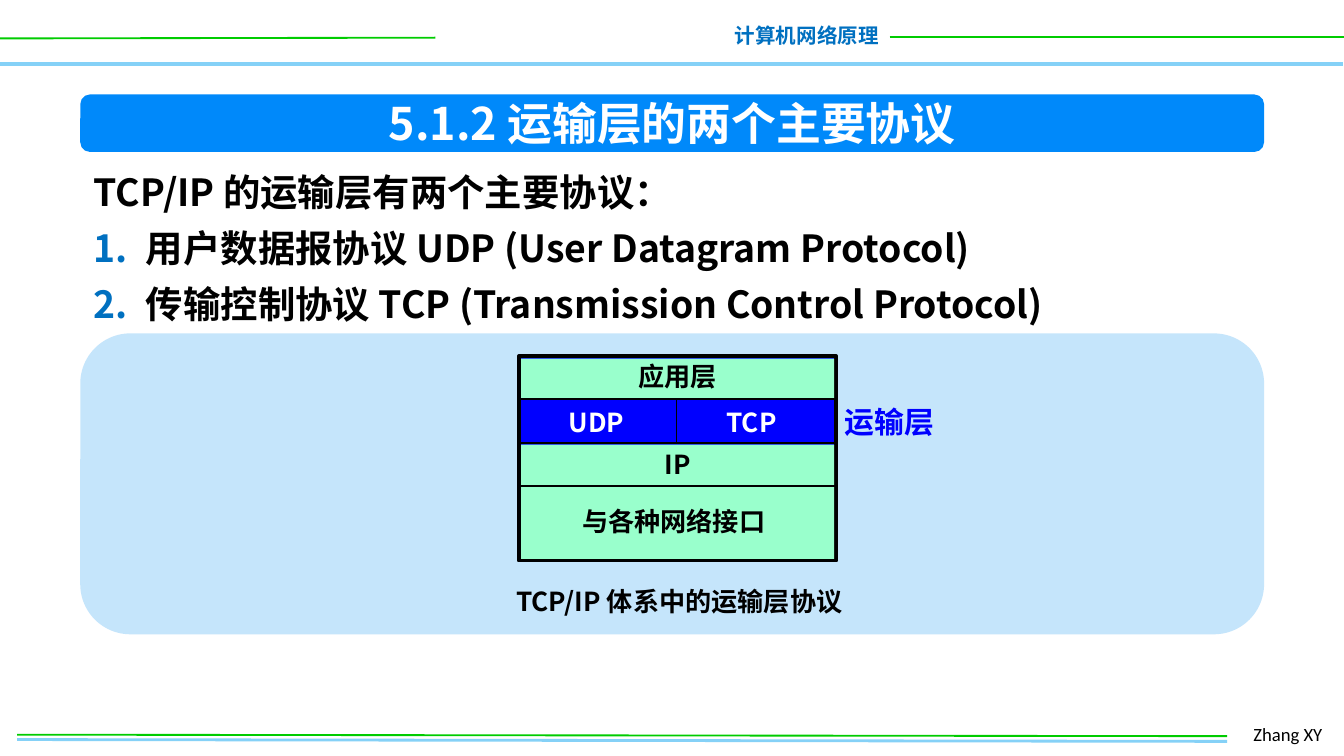
import pptx
import pptx.dml.color
import pptx.enum.shapes
import pptx.enum.text
import pptx.oxml.ns
import pptx.util
from lxml import etree

Pt = pptx.util.Pt
RGB = pptx.dml.color.RGBColor
ALIGN = pptx.enum.text.PP_ALIGN
ANCHOR = pptx.enum.text.MSO_ANCHOR
SHAPE = pptx.enum.shapes.MSO_SHAPE
qn = pptx.oxml.ns.qn

BLACK, WHITE = RGB(0, 0, 0), RGB(255, 255, 255)
SKY, GREEN = RGB(0x85, 0xD1, 0xF7), RGB(0x00, 0xCC, 0x00)
ACCENT, BANNER = RGB(0x00, 0x70, 0xC0), RGB(0x00, 0x89, 0xFA)
PALE, MINT, BLUE = RGB(0xC5, 0xE5, 0xFB), RGB(0x99, 0xFF, 0xCC), RGB(0, 0, 255)
CJK = "Noto Sans CJK SC"

TITLE = "5.1.2 运输层的两个主要协议"
INTRO = "TCP/IP 的运输层有两个主要协议："
PROTOCOLS = [
    "用户数据报协议 UDP (User Datagram Protocol)",
    "传输控制协议 TCP (Transmission Control Protocol)",
]

# x1, y1, x2, y2, colour, width
FRAME_LINES = [
    (0, 34.2, 719.3, 34.2, SKY, 2),
    (0, 20.6, 233.3, 20.2, GREEN, 1),
    (476.6, 19.8, 720, 19.8, GREEN, 1),
    (9.2, 396.2, 657.4, 397.2, SKY, 1.5),
    (9.2, 393.6, 657.4, 394.4, GREEN, 1),
]

# Left edge and width shared by the banner and the panel
CONTENT_LEFT, CONTENT_WIDTH = 43, 634.2

# Protocol stack: outer box and the heights where its layers meet
STACK_LEFT, STACK_TOP, STACK_WIDTH, STACK_HEIGHT = 278, 190.8, 170, 109.6
STACK_RIGHT = STACK_LEFT + STACK_WIDTH
STACK_MIDDLE = 362.4
TRANSPORT_TOP, IP_TOP, LINK_TOP = 213.8, 237.4, 260.2

# text, centre, top, width, colour
LAYER_LABELS = [
    ("应用层", 363.2, 189.4, 57, BLACK),
    ("UDP", 319.6, 214.2, 46, WHITE),
    ("TCP", 402.6, 214.2, 42, WHITE),
    ("IP", 363, 236.6, 29, BLACK),
    ("与各种网络接口", 361, 267.2, 144, BLACK),
]

# text, left, top, width, height, size, colour, alignment, font
LABELS = [
    ("计算机网络原理", 386, 8.8, 92, 21, 11, ACCENT, ALIGN.RIGHT, CJK),
    ("Zhang XY", 664.4, 383.8, 53.6, 19.4, 10, BLACK, ALIGN.LEFT, "Calibri"),
    ("运输层", 445.4, 212.8, 63.4, 26.6, 16, BLUE, ALIGN.LEFT, CJK),
    ("TCP/IP 体系中的运输层协议", 182.2, 310, 363.6, 24.4, 14, BLACK, ALIGN.CENTER, CJK),
] + [
    (text, centre - width / 2, top, width, 24, 14, colour, ALIGN.CENTER, CJK)
    for text, centre, top, width, colour in LAYER_LABELS
]


def style(paragraph, size, color, font_name=CJK):
    """Set the font for Latin and East Asian text alike."""
    font = paragraph.font
    font.size, font.name, font.bold = Pt(size), font_name, font_name == CJK
    font.color.rgb = color
    defaults = paragraph._p.pPr.find(qn("a:defRPr"))
    east_asian = etree.Element(qn("a:ea"), typeface=font_name)
    defaults.find(qn("a:latin")).addnext(east_asian)


def set_bullet(paragraph, numbered):
    properties = paragraph._p.pPr
    defaults = properties.find(qn("a:defRPr"))
    indent = 28 if numbered else 0
    properties.set("marL", str(Pt(indent)))
    properties.set("indent", str(Pt(-indent)))
    if not numbered:
        defaults.addprevious(etree.Element(qn("a:buNone")))
        return
    bullet_color = etree.Element(qn("a:buClr"))
    etree.SubElement(bullet_color, qn("a:srgbClr"), val=str(ACCENT))
    defaults.addprevious(bullet_color)
    defaults.addprevious(etree.Element(qn("a:buFont"), typeface=CJK))
    defaults.addprevious(etree.Element(qn("a:buAutoNum"), type="arabicPeriod"))


def place(shape, left, top, width, height):
    shape.left, shape.top = Pt(left), Pt(top)
    shape.width, shape.height = Pt(width), Pt(height)


def add_box(slide, kind, left, top, width, height, fill, border=None):
    box = slide.shapes.add_shape(kind, Pt(left), Pt(top), Pt(width), Pt(height))
    box.shadow.inherit = False
    box.fill.solid()
    box.fill.fore_color.rgb = fill
    if border is None:
        box.line.fill.background()
    else:
        box.line.color.rgb, box.line.width = BLACK, Pt(border)
    return box


def add_line(slide, x1, y1, x2, y2, color, width):
    line = slide.shapes.add_connector(
        pptx.enum.shapes.MSO_CONNECTOR.STRAIGHT, Pt(x1), Pt(y1), Pt(x2), Pt(y2))
    line.line.color.rgb, line.line.width = color, Pt(width)
    etree.SubElement(line._element.spPr, qn("a:effectLst"))


def add_label(slide, text, left, top, width, height, size, color, align, font_name):
    label = slide.shapes.add_textbox(Pt(left), Pt(top), Pt(width), Pt(height))
    label.text_frame.word_wrap = width > 100
    paragraph = label.text_frame.paragraphs[0]
    paragraph.text, paragraph.alignment = text, align
    style(paragraph, size, color, font_name)


def add_heading(slide):
    banner = add_box(slide, SHAPE.ROUNDED_RECTANGLE,
                     CONTENT_LEFT, 50.6, CONTENT_WIDTH, 30.8, BANNER)
    banner.adjustments[0] = 0.17
    title = slide.shapes.title
    place(title, CONTENT_LEFT, 47.6, CONTENT_WIDTH, 36)
    banner._element.addnext(title._element)
    frame = title.text_frame
    frame.text, frame.word_wrap = TITLE, True
    frame.auto_size = pptx.enum.text.MSO_AUTO_SIZE.NONE
    frame.vertical_anchor = ANCHOR.MIDDLE
    frame.paragraphs[0].alignment = ALIGN.CENTER
    style(frame.paragraphs[0], 24, WHITE)


def add_protocols(slide):
    body = slide.placeholders[1]
    place(body, CONTENT_LEFT, 81, 603.6, 98)
    frame = body.text_frame
    frame.text = "\n".join([INTRO] + PROTOCOLS)
    frame.auto_size = pptx.enum.text.MSO_AUTO_SIZE.NONE
    frame.vertical_anchor = ANCHOR.TOP
    for index, paragraph in enumerate(frame.paragraphs):
        paragraph.line_spacing, paragraph.space_before = Pt(30), Pt(0)
        style(paragraph, 20, BLACK)
        set_bullet(paragraph, numbered=index > 0)


def add_stack(slide):
    add_box(slide, SHAPE.ROUNDED_RECTANGLE,
            CONTENT_LEFT, 178.6, CONTENT_WIDTH, 161.2, PALE)
    add_box(slide, SHAPE.RECTANGLE, STACK_LEFT, STACK_TOP, STACK_WIDTH, STACK_HEIGHT, BLUE, 2)
    bottom = STACK_TOP + STACK_HEIGHT
    for top, end in [(STACK_TOP + 1.4, TRANSPORT_TOP - 0.6), (IP_TOP + 0.8, bottom - 1)]:
        add_box(slide, SHAPE.RECTANGLE, STACK_LEFT + 1.2, top, STACK_WIDTH - 2.4, end - top, MINT)
    for y in (TRANSPORT_TOP, IP_TOP, LINK_TOP):
        add_line(slide, STACK_LEFT, y, STACK_RIGHT, y, BLACK, 1)
    add_line(slide, STACK_MIDDLE, TRANSPORT_TOP, STACK_MIDDLE, IP_TOP, BLACK, 1)


def main():
    deck = pptx.Presentation()
    deck.slide_width, deck.slide_height = Pt(720), Pt(405)
    slide = deck.slides.add_slide(deck.slide_layouts[1])
    for line in FRAME_LINES:
        add_line(slide, *line)
    add_heading(slide)
    add_protocols(slide)
    add_stack(slide)
    for label in LABELS:
        add_label(slide, *label)
    deck.save("out.pptx")


if __name__ == "__main__":
    main()
